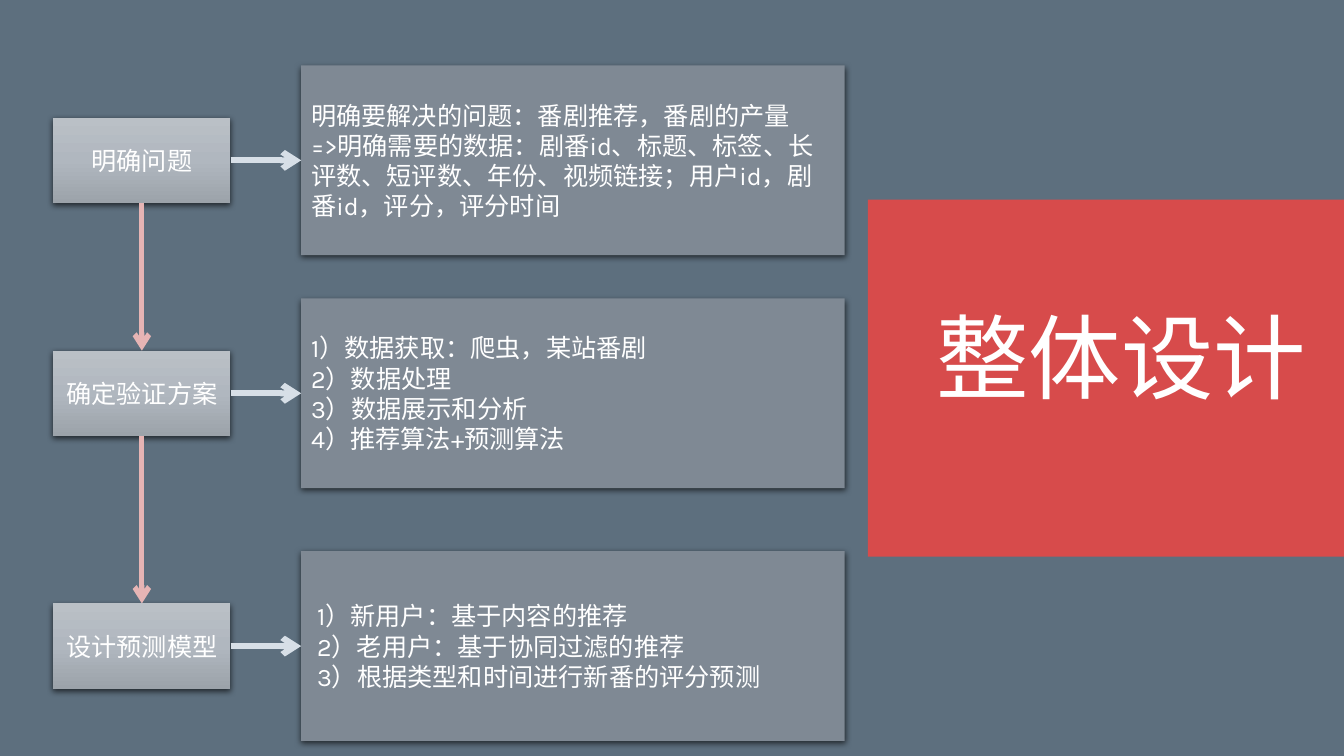
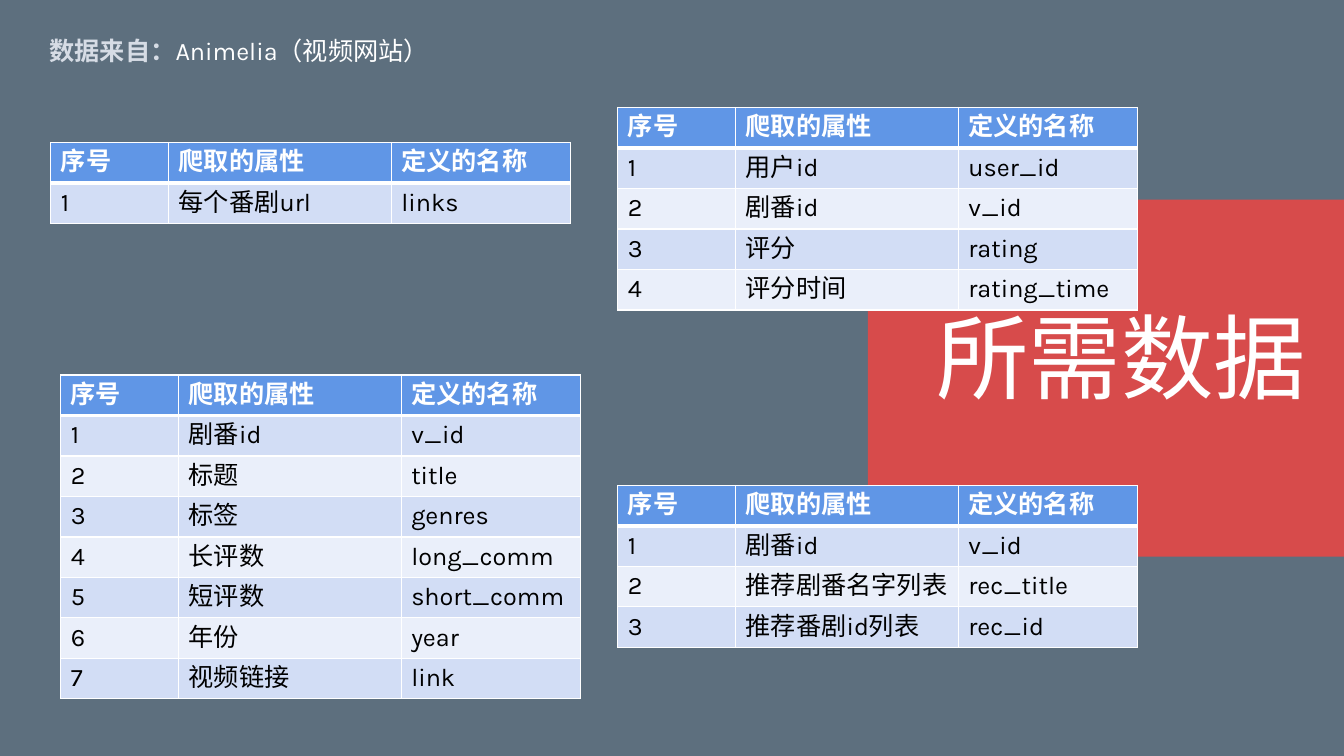
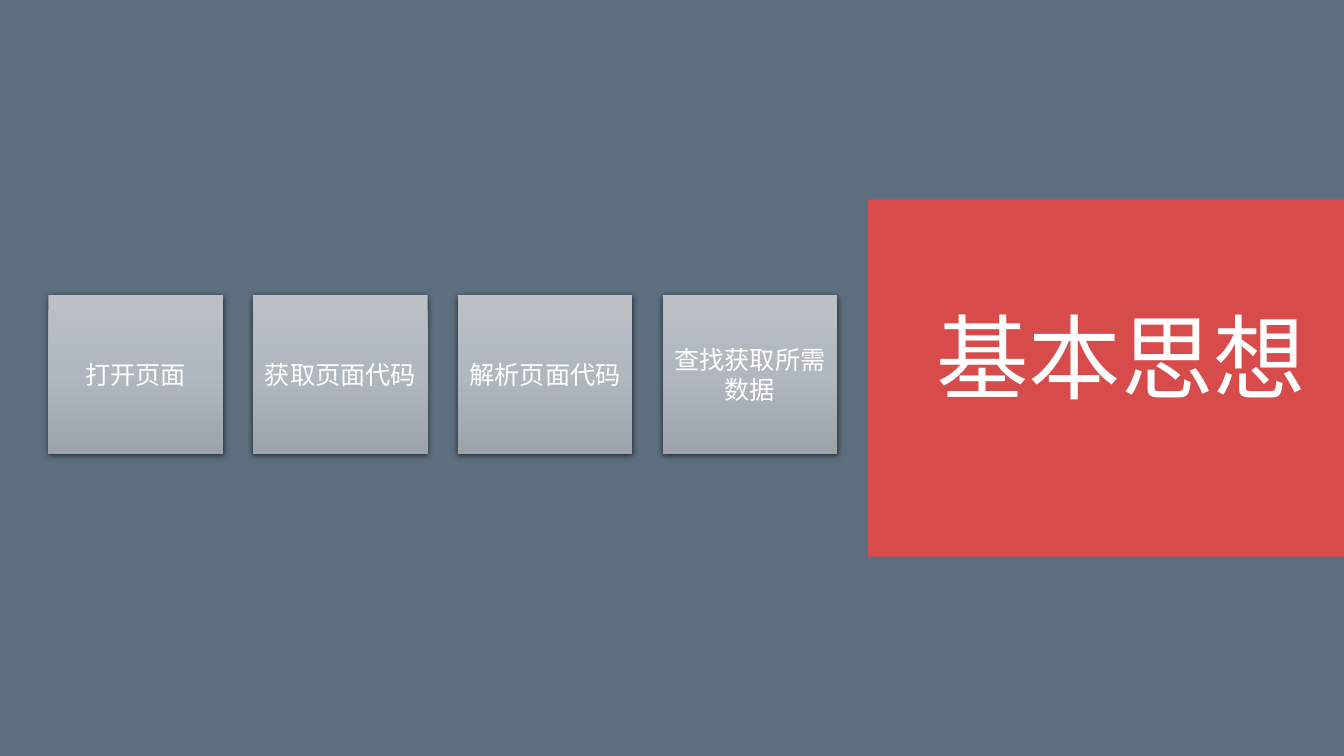
import copy

import lxml.etree
import pptx
import pptx.dml.color
import pptx.enum.shapes
import pptx.enum.text
import pptx.oxml.ns
import pptx.util

Cm, Pt = pptx.util.Cm, pptx.util.Pt
qn = pptx.oxml.ns.qn
ALIGN = pptx.enum.text.PP_ALIGN
ANCHOR = pptx.enum.text.MSO_ANCHOR
AUTO_SIZE = pptx.enum.text.MSO_AUTO_SIZE
RECT = pptx.enum.shapes.MSO_SHAPE.RECTANGLE
STRAIGHT = pptx.enum.shapes.MSO_CONNECTOR.STRAIGHT

FONT = "Karla"
WHITE, BLACK = "FFFFFF", "000000"
BACKGROUND, RED = "5D6F7E", "D74B4B"
PANEL, PALE = "7F8994", "D6DCE5"
STEP_STOPS = [(0, "BAC0C6"), (0.5, "B0B7BF"), (1, "9CA3AA")]
DOWN_ARROW, SIDE_ARROW = ("E6B4B4", 3.75), ("D7DFE7", 4.25)
HEADER_FILL, ROW_FILLS = "6096E6", ("D2DDF5", "EAEFFA")

BAND_BOX = (21.87, 5.03, 12, 9)
TITLE_BOX = (23.27, 7.44, 9.9, 3.07)
TITLE_FRAME = {"word_wrap": False, "auto_size": AUTO_SIZE.SHAPE_TO_FIT_TEXT,
               "vertical_anchor": ANCHOR.TOP}
BODY = {"size": Pt(18), "bold": False}
BOLD = {"size": Pt(18), "bold": True}
TITLE = {"size": Pt(66), "bold": False}

COLUMNS = (2.97, 5.61, 4.52)
ROW_HEIGHT = 1.02
TABLE_HEADER = ("序号", "爬取的属性", "定义的名称")


def rgb(value):
    return pptx.dml.color.RGBColor.from_string(value)


def cm(values):
    return [Cm(v) for v in values]


def set_attrs(obj, values):
    for name, value in values.items():
        setattr(obj, name, value)


def add_run(p, text, color=WHITE, font=BODY):
    r = p.add_run()
    r.text = text
    set_attrs(r.font, {"name": FONT, **font})
    r.font.color.rgb = rgb(color)
    lxml.etree.SubElement(r.font._element, qn("a:ea"), typeface=FONT)


def write(tf, lines, align=ALIGN.LEFT, **style):
    for i, line in enumerate(lines):
        p = tf.add_paragraph() if i else tf.paragraphs[0]
        p.alignment = align
        add_run(p, line, **style)


def add_rect(s, box):
    sp = s.shapes.add_shape(RECT, *cm(box))
    sp.shadow.inherit = False
    sp.line.fill.background()
    return sp


def fill_solid(obj, color):
    obj.fill.solid()
    obj.fill.fore_color.rgb = rgb(color)


def fill_gradient(sp, stops):
    sp.fill.gradient()
    sp.fill.gradient_angle = 270
    gs_lst = sp.element.spPr.find(".//" + qn("a:gsLst"))
    gs_lst.insert(1, copy.deepcopy(gs_lst[0]))
    for stop, (position, color) in zip(sp.fill.gradient_stops, stops):
        stop.position = position
        stop.color.rgb = rgb(color)


def drop_shadow(sp):
    effects = sp.element.spPr.find(qn("a:effectLst"))
    shadow = lxml.etree.SubElement(
        effects, qn("a:outerShdw"), blurRad=str(Pt(4.5)), dist=str(Pt(1.5)),
        dir="5400000", algn="ctr", rotWithShape="0")
    color = lxml.etree.SubElement(shadow, qn("a:srgbClr"), val=BLACK)
    lxml.etree.SubElement(color, qn("a:alpha"), val="63000")


def add_step(s, box, text):
    sp = add_rect(s, box)
    fill_gradient(sp, STEP_STOPS)
    drop_shadow(sp)
    sp.text_frame.vertical_anchor = ANCHOR.MIDDLE
    write(sp.text_frame, [text], ALIGN.CENTER)


def add_panel(s, box, lines):
    sp = add_rect(s, box)
    fill_solid(sp, PANEL)
    drop_shadow(sp)
    sp.text_frame.vertical_anchor = ANCHOR.MIDDLE
    write(sp.text_frame, lines)


def add_arrow(s, start, end, style):
    color, width = style
    line = s.shapes.add_connector(STRAIGHT, *cm(start + end))
    line.line.color.rgb = rgb(color)
    line.line.width = Pt(width)
    lxml.etree.SubElement(line.line._get_or_add_ln(), qn("a:tailEnd"), type="arrow")
    lxml.etree.SubElement(line.element.spPr, qn("a:effectLst"))


def add_cell_borders(cell, widths):
    tc_pr = cell._tc.get_or_add_tcPr()
    for side, width in zip("LRTB", widths):
        ln = lxml.etree.SubElement(tc_pr, qn("a:ln" + side), w=str(Pt(width)))
        fill = lxml.etree.SubElement(ln, qn("a:solidFill"))
        lxml.etree.SubElement(fill, qn("a:srgbClr"), val=WHITE)


def add_field_table(s, left, top, fields):
    """Table of numbered (attribute, name) pairs under the common header."""
    rows = [TABLE_HEADER] + [(str(i), *field) for i, field in enumerate(fields, 1)]
    table = s.shapes.add_table(
        len(rows), len(COLUMNS),
        *cm((left, top, sum(COLUMNS), ROW_HEIGHT * len(rows)))).table
    for column, width in zip(table.columns, COLUMNS):
        column.width = Cm(width)
    for i, texts in enumerate(rows):
        table.rows[i].height = Cm(ROW_HEIGHT)
        fill = ROW_FILLS[(i - 1) % 2] if i else HEADER_FILL
        style = {"color": BLACK} if i else {"font": BOLD}
        for cell, text in zip(table.rows[i].cells, texts):
            add_cell_borders(cell, (1, 1, 3 if i == 1 else 1, 1 if i else 3))
            fill_solid(cell, fill)
            write(cell.text_frame, [text], **style)


def style_layout(prs, layout):
    """Sets the background and puts the red title band on the layout."""
    fill_solid(prs.slide_master.background, BACKGROUND)
    draft = prs.slides[0]
    band = add_rect(draft, BAND_BOX)
    fill_solid(band, RED)
    layout.placeholders[0].element.addprevious(band.element)


def add_titled_slide(prs, title):
    layout = prs.slide_layouts.get_by_name("Title Only")
    s = prs.slides.add_slide(layout)
    if len(prs.slides) == 1:
        style_layout(prs, layout)
    sp = s.shapes.title
    set_attrs(sp, dict(zip(("left", "top", "width", "height"), cm(TITLE_BOX))))
    set_attrs(sp.text_frame, TITLE_FRAME)
    write(sp.text_frame, [title], ALIGN.RIGHT, font=TITLE)
    return s


def build_design(prs):
    s = add_titled_slide(prs, "整体设计")
    step_left, step_w, step_h = 1.34, 4.47, 2.15
    panel_left, panel_w, panel_h = 7.59, 13.7, 4.78
    step_mid = step_left + step_w / 2
    stages = [
        (4.04, "明确问题", [
            "明确要解决的问题：番剧推荐，番剧的产量",
            "=>明确需要的数据：剧番id、标题、标签、长评数、短评数、年份、"
            "视频链接；用户id，剧番id，评分，评分时间"]),
        (9.91, "确定验证方案", [
            "1）数据获取：爬虫，某站番剧", "2）数据处理",
            "3）数据展示和分析", "4）推荐算法+预测算法"]),
        (16.28, "设计预测模型", [
            " 1）新用户：基于内容的推荐", " 2）老用户：基于协同过滤的推荐",
            " 3）根据类型和时间进行新番的评分预测"]),
    ]
    for mid, name, lines in stages:
        add_step(s, (step_left, mid - step_h / 2, step_w, step_h), name)
        add_panel(s, (panel_left, mid - panel_h / 2, panel_w, panel_h), lines)
        add_arrow(s, (step_left + step_w, mid), (panel_left, mid), SIDE_ARROW)
    for (upper, *_), (lower, *_) in zip(stages, stages[1:]):
        add_arrow(s, (step_mid, upper + step_h / 2),
                  (step_mid, lower - step_h / 2), DOWN_ARROW)


def add_source_line(s, box, label, source):
    tf = s.shapes.add_textbox(*cm(box)).text_frame
    set_attrs(tf, {"word_wrap": True, "auto_size": AUTO_SIZE.SHAPE_TO_FIT_TEXT})
    p = tf.paragraphs[0]
    p.line_spacing = 1.5
    add_run(p, label, PALE, BOLD)
    add_run(p, source)


def build_data(prs):
    s = add_titled_slide(prs, "所需数据")
    add_source_line(s, (1, 0.38, 20.09, 1.4), "数据来自：", "Animelia（视频网站）")
    add_field_table(s, 15.57, 2.71, [
        ("用户id", "user_id"), ("剧番id", "v_id"),
        ("评分", "rating"), ("评分时间", "rating_time")])
    add_field_table(s, 1.53, 9.45, [
        ("剧番id", "v_id"), ("标题", "title"), ("标签", "genres"),
        ("长评数", "long_comm"), ("短评数", "short_comm"),
        ("年份", "year"), ("视频链接", "link")])
    add_field_table(s, 15.57, 12.23, [
        ("剧番id", "v_id"), ("推荐剧番名字列表", "rec_title"),
        ("推荐番剧id列表", "rec_id")])
    add_field_table(s, 1.28, 3.59, [("每个番剧url", "links")])


def build_idea(prs):
    s = add_titled_slide(prs, "基本思想")
    left, top, width, height, gap = 1.22, 7.44, 4.4, 3.99, 0.76
    steps = ("打开页面", "获取页面代码", "解析页面代码", "查找获取所需数据")
    for i, text in enumerate(steps):
        add_step(s, (left + i * (width + gap), top, width, height), text)


def main():
    prs = pptx.Presentation()
    set_attrs(prs, {"slide_width": Cm(33.87), "slide_height": Cm(19.05)})
    for build in (build_design, build_data, build_idea):
        build(prs)
    prs.save("out.pptx")


if __name__ == "__main__":
    main()
